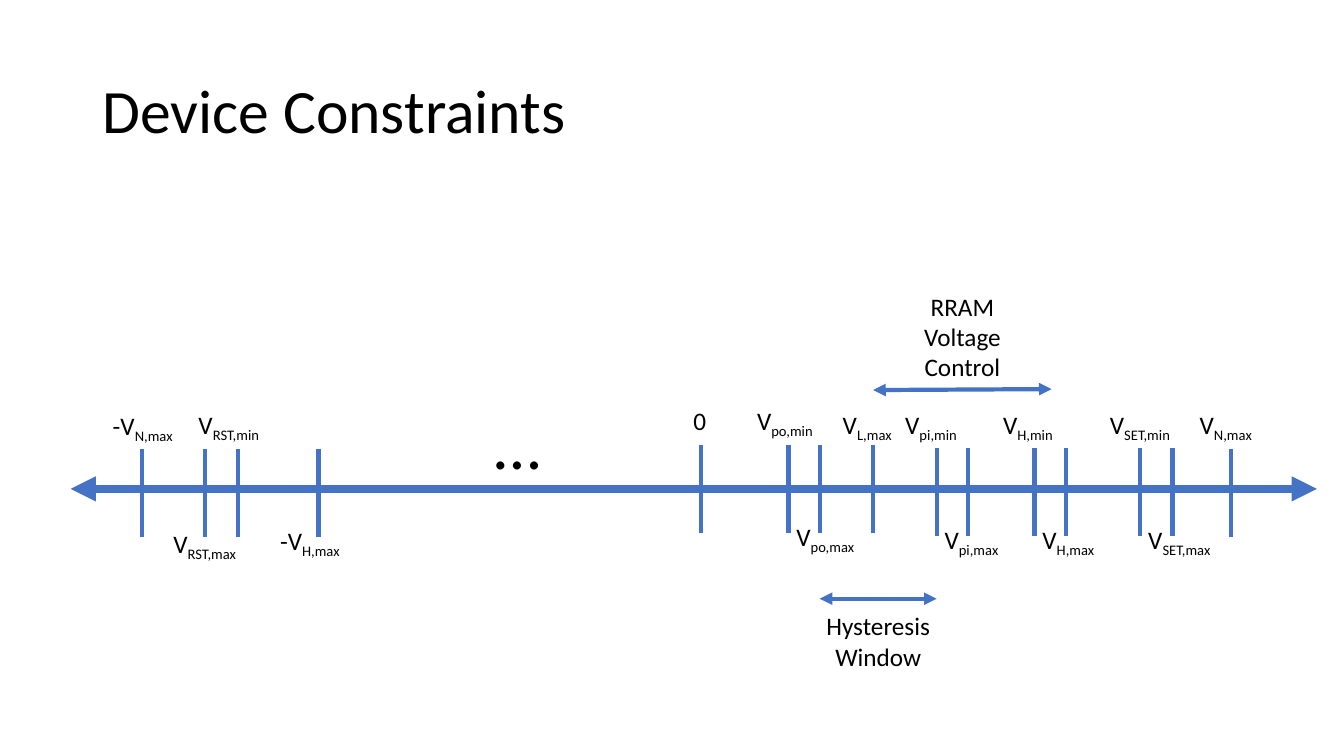
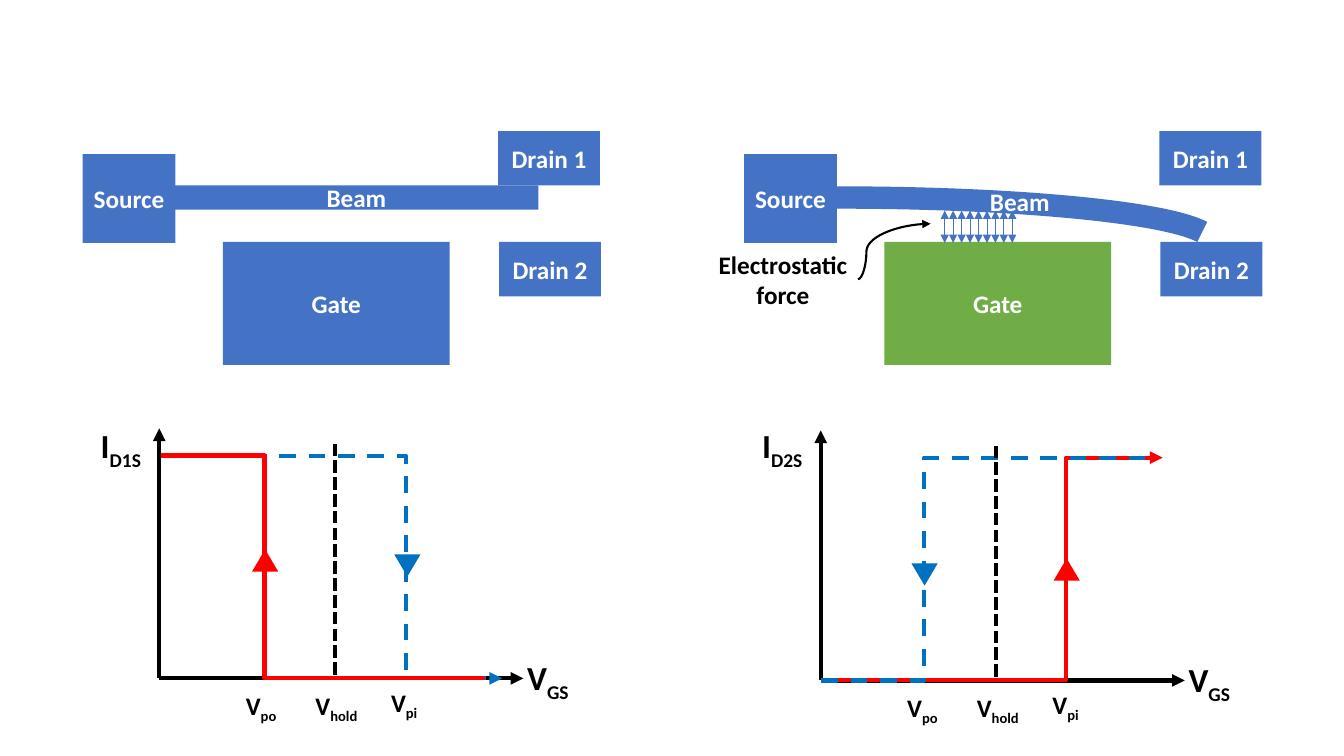
from lxml import etree
from pptx import Presentation
from pptx.dml.color import RGBColor
from pptx.enum.dml import MSO_LINE
from pptx.enum.shapes import MSO_CONNECTOR, MSO_SHAPE
from pptx.enum.text import MSO_ANCHOR, MSO_AUTO_SIZE, PP_ALIGN
from pptx.oxml.ns import qn
from pptx.util import Inches, Pt

STRAIGHT, ELBOW, CURVE = MSO_CONNECTOR.STRAIGHT, MSO_CONNECTOR.ELBOW, MSO_CONNECTOR.CURVE
DASH, SHORT_DASH = MSO_LINE.DASH, MSO_LINE.SQUARE_DOT
RECTANGLE, TRIANGLE, ARC = MSO_SHAPE.RECTANGLE, MSO_SHAPE.ISOSCELES_TRIANGLE, MSO_SHAPE.ARC
LEFT, CENTER = PP_ALIGN.LEFT, PP_ALIGN.CENTER
TOP, MIDDLE = MSO_ANCHOR.TOP, MSO_ANCHOR.MIDDLE
FIT, FIXED = MSO_AUTO_SIZE.SHAPE_TO_FIT_TEXT, MSO_AUTO_SIZE.NONE

FONT = "Calibri"
BLACK, WHITE, BLUE, GREEN = "000000", "FFFFFF", "4472C4", "70AD47"
RISE, FALL = "FF0000", "0070C0"
color = RGBColor.from_string


def add_text(page, area, lines, size=18, ink=BLACK, bold=False, align=LEFT,
             anchor=TOP, wrap=False, fill=None):
    area = [Inches(length) for length in area]
    if fill:
        box = page.shapes.add_shape(RECTANGLE, *area)
        box.shadow.inherit = False
        box.fill.solid()
        box.fill.fore_color.rgb = color(fill)
        box.line.fill.background()
    else:
        box = page.shapes.add_textbox(*area)
    frame = box.text_frame
    frame.word_wrap = wrap
    frame.auto_size = FIXED if anchor == MIDDLE else FIT
    frame.vertical_anchor = anchor
    for index, line in enumerate(lines):
        para = frame.add_paragraph() if index else frame.paragraphs[0]
        para.alignment = align
        base, _, subscript = line.partition("_")
        for text, baseline in ((base, None), (subscript, "-25000")):
            if text:
                span = para.add_run()
                span.text = text
                span.font.name = FONT
                span.font.size = Pt(size)
                span.font.bold = bold
                span.font.color.rgb = color(ink)
                if baseline:
                    span._r.get_or_add_rPr().set("baseline", baseline)
    return box


def add_line(page, start, end, ink=BLACK, width=3, arrows=(), dash=None,
             kind=STRAIGHT, bend=None):
    points = [Inches(length) for length in (*start, *end)]
    connector = page.shapes.add_connector(kind, *points)
    connector.line.color.rgb = color(ink)
    connector.line.width = Pt(width)
    if dash:
        connector.line.dash_style = dash
    properties = connector.element.spPr
    outline = properties.find(qn("a:ln"))
    for arrow in arrows:
        etree.SubElement(outline, qn(f"a:{arrow}End"), type="triangle")
    etree.SubElement(properties, qn("a:effectLst"))
    if bend is not None:
        guides = properties.find(qn("a:prstGeom")).find(qn("a:avLst"))
        etree.SubElement(guides, qn("a:gd"), name="adj1", fmla=f"val {round(bend * 100000)}")


BOTH, END = ("head", "tail"), ("tail",)

deck = Presentation()
deck.slide_width = Inches(13.33)
deck.slide_height = Inches(7.5)
blank = deck.slide_layouts[6]

page = deck.slides.add_slide(blank)
title = add_text(page, (0.92, 0.4, 11.5, 1.45), ["Device Constraints"], size=44,
                 anchor=MIDDLE, wrap=True)
title.text_frame.paragraphs[0].line_spacing = 0.9

add_line(page, (0.7, 4.85), (13.06, 4.85), BLUE, 6, BOTH)
voltages = [
    (1.41, 4.45, "-V_N,max", 1.02, 4.02, 0.86),
    (2.03, 4.45, "V_RST,min", 1.87, 4.01, 0.88),
    (2.36, 4.45, "V_RST,max", 1.62, 5.19, 0.91),
    (3.16, 4.45, "-V_H,max", 2.68, 5.16, 0.86),
    (6.95, 4.41, "0", 6.78, 3.97, 0.33),
    (7.82, 4.41, "V_po,min", 7.41, 3.97, 0.82),
    (8.13, 4.41, "V_po,max", 7.8, 5.12, 0.84),
    (8.66, 4.41, "V_L,max", 8.26, 4.01, 0.75),
    (9.29, 4.44, "V_pi,min", 8.88, 4.01, 0.77),
    (9.6, 4.44, "V_pi,max", 9.27, 5.15, 0.8),
    (10.26, 4.44, "V_H,min", 9.85, 4.01, 0.75),
    (10.57, 4.44, "V_H,max", 10.24, 5.15, 0.78),
    (11.31, 4.44, "V_SET,min", 10.91, 4.01, 0.87),
    (11.63, 4.44, "V_SET,max", 11.29, 5.15, 0.9),
    (12.21, 4.45, "V_N,max", 11.8, 4.01, 0.78),
]
for x, top, label, label_left, label_top, label_width in voltages:
    add_line(page, (x, top), (x, top + 0.88), BLUE)
    add_text(page, (label_left, label_top, label_width, 0.4), [label])
add_text(page, (4.81, 3.94, 0.67, 0.91), ["…"], size=48)

spans = [
    ((8.13, 5.94), (9.29, 5.94), "Hysteresis Window", (8.02, 6.01, 1.38, 0.71)),
    ((8.66, 3.87), (10.43, 3.86), "RRAM Voltage Control", (8.92, 2.84, 1.25, 1.01)),
]
for start, end, label, area in spans:
    add_line(page, start, end, BLUE, arrows=BOTH)
    add_text(page, area, [label], align=CENTER, wrap=True)

page = deck.slides.add_slide(blank)
PANEL_STEP = 6.56

add_text(page, (1.73, 1.84, 3.61, 0.24), ["Beam"], ink=WHITE, bold=True,
         align=CENTER, anchor=MIDDLE, wrap=True, fill=BLUE)
bent_beam = page.shapes.add_shape(ARC, Inches(4.63), Inches(1.96), Inches(7.38), Inches(0.87))
bent_beam.shadow.inherit = False
bent_beam.adjustments[0] = 158.721
bent_beam.adjustments[1] = 215.111
bent_beam.fill.background()
bent_beam.line.color.rgb = color(BLUE)
bent_beam.line.width = Pt(16)

for panel, gate_fill in enumerate((BLUE, GREEN)):
    blocks = [
        ("Source", 0.82, 1.53, 0.92, 0.88, BLUE),
        ("Drain 1", 4.94, 1.3, 1.01, 0.54, BLUE),
        ("Drain 2", 4.95, 2.4, 1.01, 0.54, BLUE),
        ("Gate", 2.21, 2.4, 2.25, 1.22, gate_fill),
    ]
    for label, left, top, width, height, fill in blocks:
        add_text(page, (left + panel * PANEL_STEP, top, width, height), [label], ink=WHITE,
                 bold=True, align=CENTER, anchor=MIDDLE, wrap=True, fill=fill)

add_text(page, (9.72, 1.8, 0.8, 0.4), ["Beam"], ink=WHITE, bold=True)
for index in range(9):
    x = 9.37 + index * 0.67 / 8
    add_line(page, (x, 2.09), (x, 2.41), BLUE, 0.5, BOTH)
add_text(page, (7.02, 2.42, 1.49, 0.71), ["Electrostatic", "force"], bold=True, align=CENTER)
add_line(page, (8.51, 2.77), (9.23, 2.22), width=1.5, arrows=END, kind=CURVE, bend=0.116)

charts = [
    (0, 0, "I_D1S", [
        (FALL, (1.6, 4.52), (4.98, 6.73), 0.717, DASH, END, (3.91, 5.5), 180),
        (RISE, (4.81, 6.73), (1.6, 4.52), 0.681, None, (), (2.5, 5.45), 0),
    ]),
    (PANEL_STEP, 0.02, "I_D2S", [
        (RISE, (8.14, 6.75), (11.53, 4.54), 0.717, None, END, (10.45, 5.54), 0),
        (FALL, (11.36, 4.54), (8.14, 6.75), 0.681, DASH, (), (9.04, 5.59), 180),
    ]),
]
for shift, drop, current, curves in charts:
    origin = (1.58 + shift, 6.73 + drop)
    add_line(page, origin, (origin[0], 4.25 + drop), arrows=END)
    add_line(page, origin, (5.19 + shift, origin[1]), arrows=END)
    for ink, start, end, bend, dash, arrows, corner, turn in curves:
        add_line(page, start, end, ink, arrows=arrows, dash=dash, kind=ELBOW, bend=bend)
        marker = page.shapes.add_shape(TRIANGLE, Inches(corner[0]), Inches(corner[1]),
                                       Inches(0.26), Inches(0.22))
        marker.shadow.inherit = False
        marker.rotation = turn
        marker.fill.solid()
        marker.fill.fore_color.rgb = color(ink)
        marker.line.fill.background()
    add_line(page, (3.32 + shift, 4.4 + drop), (3.32 + shift, origin[1]), dash=SHORT_DASH)
    labels = [
        ("V_po", 2.34, 6.8 + drop, 0.53, 0.4, 18),
        ("V_pi", 3.78, 6.77 + drop, 0.48, 0.4, 18),
        ("V_hold", 3.03, 6.8 + drop, 0.67, 0.4, 18),
        ("V_GS", 5.13, 6.47 + drop, 0.65, 0.5, 24),
        (current, 0.9, 4.17, 0.65, 0.5, 24),
    ]
    for label, left, top, width, height, size in labels:
        add_text(page, (left + shift, top, width, height), [label], size=size, bold=True)

deck.save("out.pptx")
